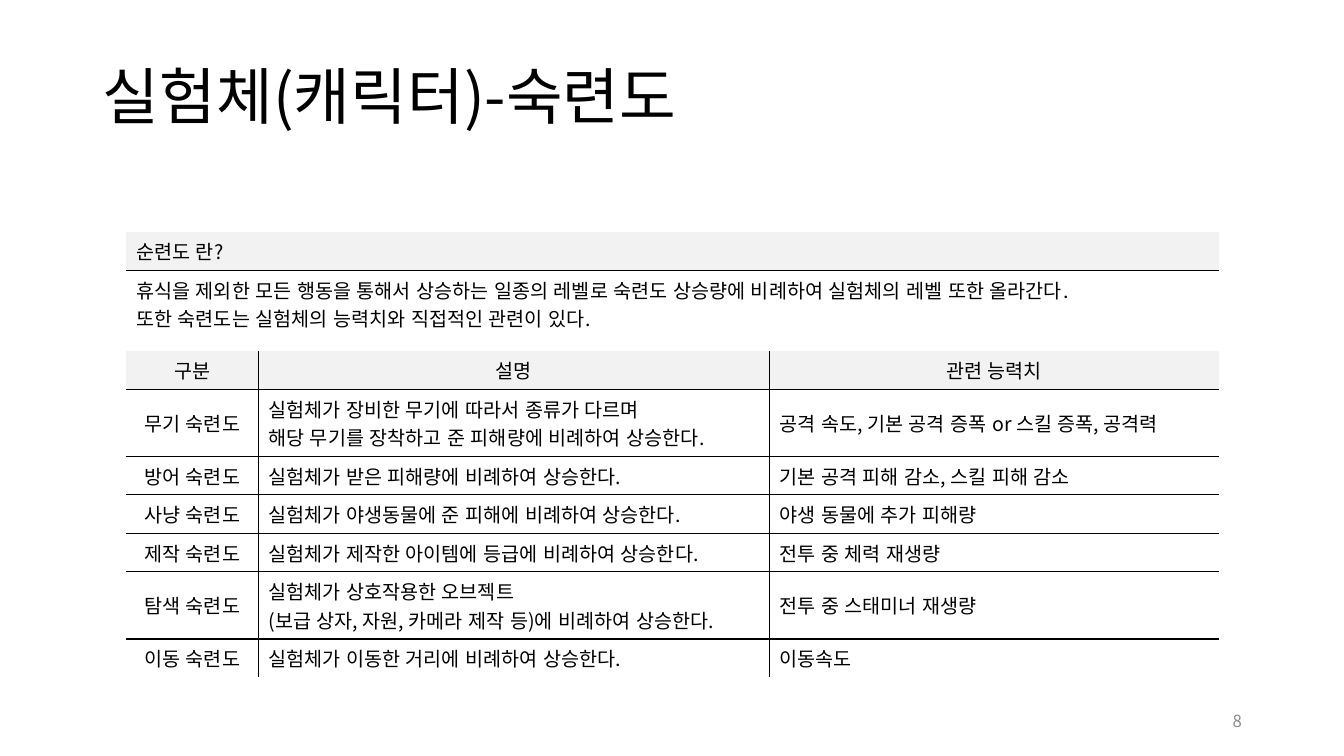
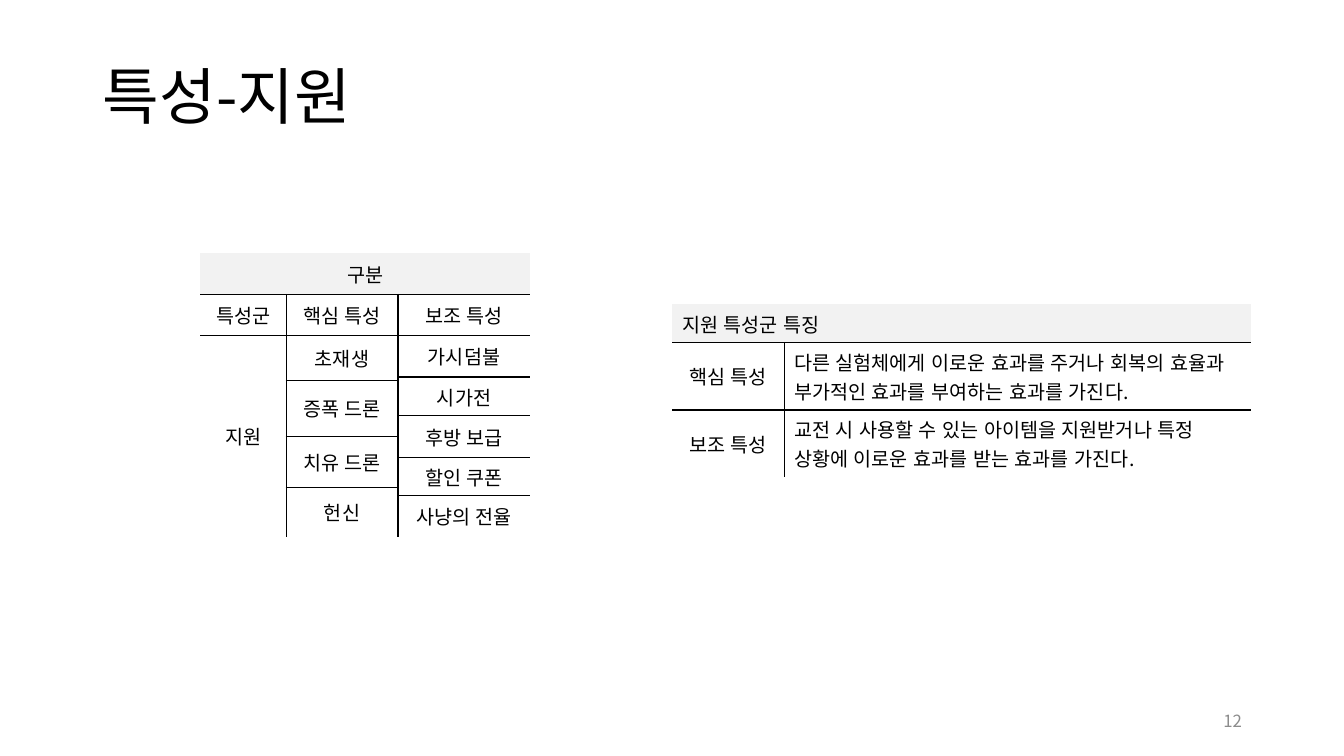
"""Builds two slides of game-design notes on proficiency and support traits."""
from dataclasses import dataclass

from lxml.etree import SubElement
from pptx import Presentation
from pptx.dml.color import RGBColor
from pptx.enum.lang import MSO_LANGUAGE_ID
from pptx.enum.text import MSO_ANCHOR, MSO_AUTO_SIZE, PP_ALIGN
from pptx.oxml.ns import qn
from pptx.util import Cm, Pt


@dataclass(frozen=True)
class Theme:
    font: str = "Noto Sans CJK KR"
    ink: str = "000000"
    muted: str = "8C8C8C"
    header_fill: str = "F2F2F2"
    title_size: int = 44
    table_size: int = 14
    number_size: int = 12
    border_width: int = 1
    one_line: float = 0.97
    two_lines: float = 1.69


class Deck:
    EDGES = {"a:lnL": (0, -1), "a:lnR": (0, 1), "a:lnT": (-1, 0), "a:lnB": (1, 0)}

    def __init__(self, theme):
        self.theme = theme
        self.presentation = Presentation()
        self.presentation.slide_width = Cm(33.87)
        self.presentation.slide_height = Cm(19.05)
        self.slide = None

    def add_slide(self, title, number):
        layout = self.presentation.slide_layouts[5]
        self.slide = self.presentation.slides.add_slide(layout)
        self.title(title)
        self.slide_number(number)

    def set_text(self, text_frame, text, size, color, alignment):
        text_frame.text = text
        for paragraph in text_frame.paragraphs:
            paragraph.alignment = alignment
            for run in paragraph.runs:
                run.font.size = Pt(size)
                run.font.name = self.theme.font
                run.font.color.rgb = RGBColor.from_string(color)
                run.font.language_id = MSO_LANGUAGE_ID.KOREAN
                properties = run._r.get_or_add_rPr()
                SubElement(properties, qn("a:ea"), typeface=self.theme.font)

    def title(self, text):
        shape = self.slide.shapes.title
        shape.left, shape.top = Cm(2.34), Cm(1.02)
        shape.width, shape.height = Cm(29.21), Cm(2.97)
        text_frame = shape.text_frame
        text_frame.auto_size = MSO_AUTO_SIZE.NONE
        text_frame.vertical_anchor = MSO_ANCHOR.MIDDLE
        self.set_text(text_frame, text, self.theme.title_size, self.theme.ink, PP_ALIGN.LEFT)
        text_frame.paragraphs[0].line_spacing = 0.9

    def slide_number(self, number):
        shape = self.slide.shapes.add_textbox(Cm(23.93), Cm(17.65), Cm(7.62), Cm(1.02))
        text_frame = shape.text_frame
        text_frame.word_wrap = True
        text_frame.vertical_anchor = MSO_ANCHOR.MIDDLE
        self.set_text(text_frame, str(number), self.theme.number_size, self.theme.muted, PP_ALIGN.RIGHT)

    def borders(self, cell, position, owners):
        properties = cell._tc.get_or_add_tcPr()
        for tag, (down, across) in self.EDGES.items():
            neighbour = owners.get((position[0] + down, position[1] + across))
            line = SubElement(properties, qn(tag), w=str(Pt(self.theme.border_width)))
            if neighbour is None or neighbour == owners[position]:
                SubElement(line, qn("a:noFill"))
            else:
                fill = SubElement(line, qn("a:solidFill"))
                SubElement(fill, qn("a:srgbClr"), val=self.theme.ink)

    def table(self, left, top, widths, heights, rows, merges=(), left_columns=(), header=PP_ALIGN.CENTER):
        frame = self.slide.shapes.add_table(
            len(heights), len(widths), Cm(left), Cm(top), Cm(sum(widths)), Cm(sum(heights)))
        table = frame.table
        table.first_row = table.horz_banding = False
        for column, width in zip(table.columns, widths):
            column.width = Cm(width)
        for row, height in zip(table.rows, heights):
            row.height = Cm(height)
        owners = {(row, column): (row, column)
                  for row in range(len(heights)) for column in range(len(widths))}
        for row, column, last_row, last_column in merges:
            table.cell(row, column).merge(table.cell(last_row, last_column))
            for position in owners:
                if row <= position[0] <= last_row and column <= position[1] <= last_column:
                    owners[position] = (row, column)
        for position in owners:
            row, column = position
            cell = table.cell(row, column)
            self.borders(cell, position, owners)
            if row == 0:
                cell.fill.solid()
                cell.fill.fore_color.rgb = RGBColor.from_string(self.theme.header_fill)
                alignment = header
            else:
                cell.fill.background()
                alignment = PP_ALIGN.LEFT if column in left_columns else PP_ALIGN.CENTER
            cell.vertical_anchor = MSO_ANCHOR.MIDDLE
            if rows[row][column]:
                self.set_text(cell.text_frame, rows[row][column], self.theme.table_size,
                              self.theme.ink, alignment)


def proficiency_slide(deck):
    one, two = deck.theme.one_line, deck.theme.two_lines
    deck.add_slide("실험체(캐릭터)-숙련도", 8)
    deck.table(3.18, 8.84, [3.33, 12.88, 11.33], [one, two, one, one, one, two, one], [
        ["구분", "설명", "관련 능력치"],
        ["무기 숙련도",
         "실험체가 장비한 무기에 따라서 종류가 다르며\n해당 무기를 장착하고 준 피해량에 비례하여 상승한다.",
         "공격 속도, 기본 공격 증폭 or 스킬 증폭, 공격력"],
        ["방어 숙련도", "실험체가 받은 피해량에 비례하여 상승한다.", "기본 공격 피해 감소, 스킬 피해 감소"],
        ["사냥 숙련도", "실험체가 야생동물에 준 피해에 비례하여 상승한다.", "야생 동물에 추가 피해량"],
        ["제작 숙련도", "실험체가 제작한 아이템에 등급에 비례하여 상승한다.", "전투 중 체력 재생량"],
        ["탐색 숙련도",
         "실험체가 상호작용한 오브젝트\n(보급 상자, 자원, 카메라 제작 등)에 비례하여 상승한다.",
         "전투 중 스태미너 재생량"],
        ["이동 숙련도", "실험체가 이동한 거리에 비례하여 상승한다.", "이동속도"],
    ], left_columns=(1, 2))
    deck.table(3.18, 5.84, [27.54], [one, two], [
        ["순련도 란?"],
        ["휴식을 제외한 모든 행동을 통해서 상승하는 일종의 레벨로 숙련도 상승량에 비례하여 실험체의 레벨 또한 올라간다.\n"
         "또한 숙련도는 실험체의 능력치와 직접적인 관련이 있다."],
    ], left_columns=(0,), header=PP_ALIGN.LEFT)


def support_slide(deck):
    one, two = deck.theme.one_line, deck.theme.two_lines
    deck.add_slide("특성-지원", 12)
    core_merges = [(row, 1, row + 1, 1) for row in range(2, 10, 2)]
    secondary_merges = [(row, 2, row + 1, 2) for row in range(3, 9, 2)]
    deck.table(5.05, 6.38, [2.16, 2.82, 3.33],
               [1.04, 1.04, 1.04, 0.08, 0.9, 0.52, 0.52, 0.76, 0.21, 1.04], [
        ["구분", None, None],
        ["특성군", "핵심 특성", "보조 특성"],
        ["지원", "초재생", "가시덤불"],
        [None, None, "시가전"],
        [None, "증폭 드론", None],
        [None, None, "후방 보급"],
        [None, "치유 드론", None],
        [None, None, "할인 쿠폰"],
        [None, "헌신", None],
        [None, None, "사냥의 전율"],
    ], merges=[(0, 0, 0, 2), (2, 0, 9, 0), *core_merges, *secondary_merges])
    deck.table(16.94, 7.67, [2.82, 11.76], [one, two, two], [
        ["지원 특성군 특징", None],
        ["핵심 특성", "다른 실험체에게 이로운 효과를 주거나 회복의 효율과 부가적인 효과를 부여하는 효과를 가진다."],
        ["보조 특성", "교전 시 사용할 수 있는 아이템을 지원받거나 특정 상황에 이로운 효과를 받는 효과를 가진다."],
    ], merges=[(0, 0, 0, 1)], left_columns=(1,), header=PP_ALIGN.LEFT)


def main():
    deck = Deck(Theme())
    proficiency_slide(deck)
    support_slide(deck)
    deck.presentation.save("out.pptx")


if __name__ == "__main__":
    main()
